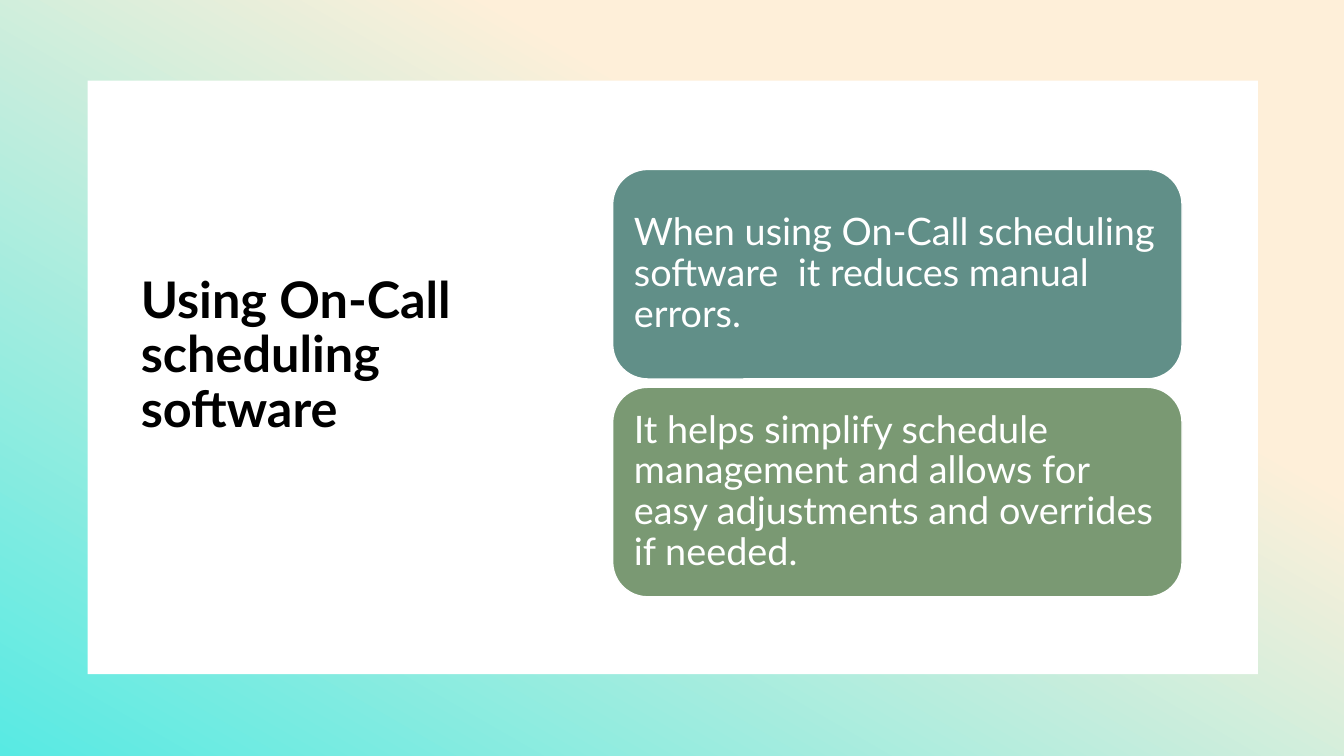
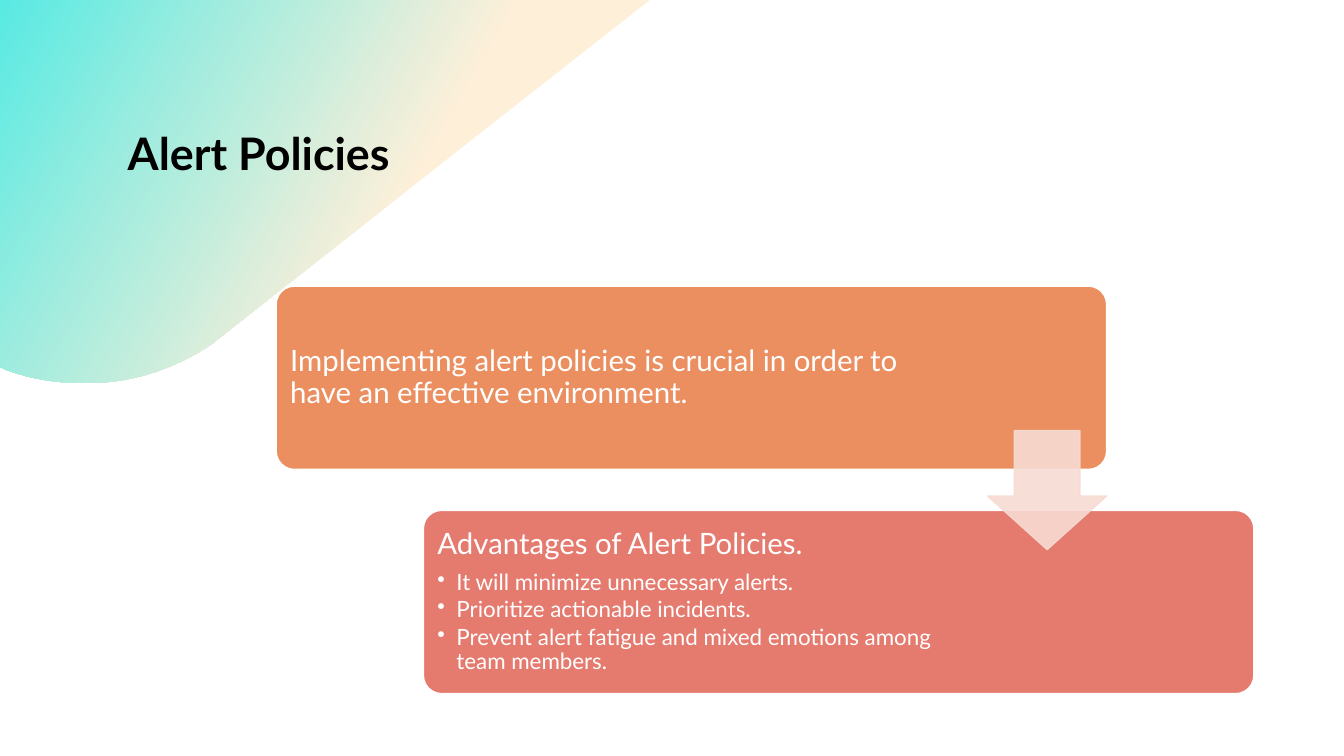
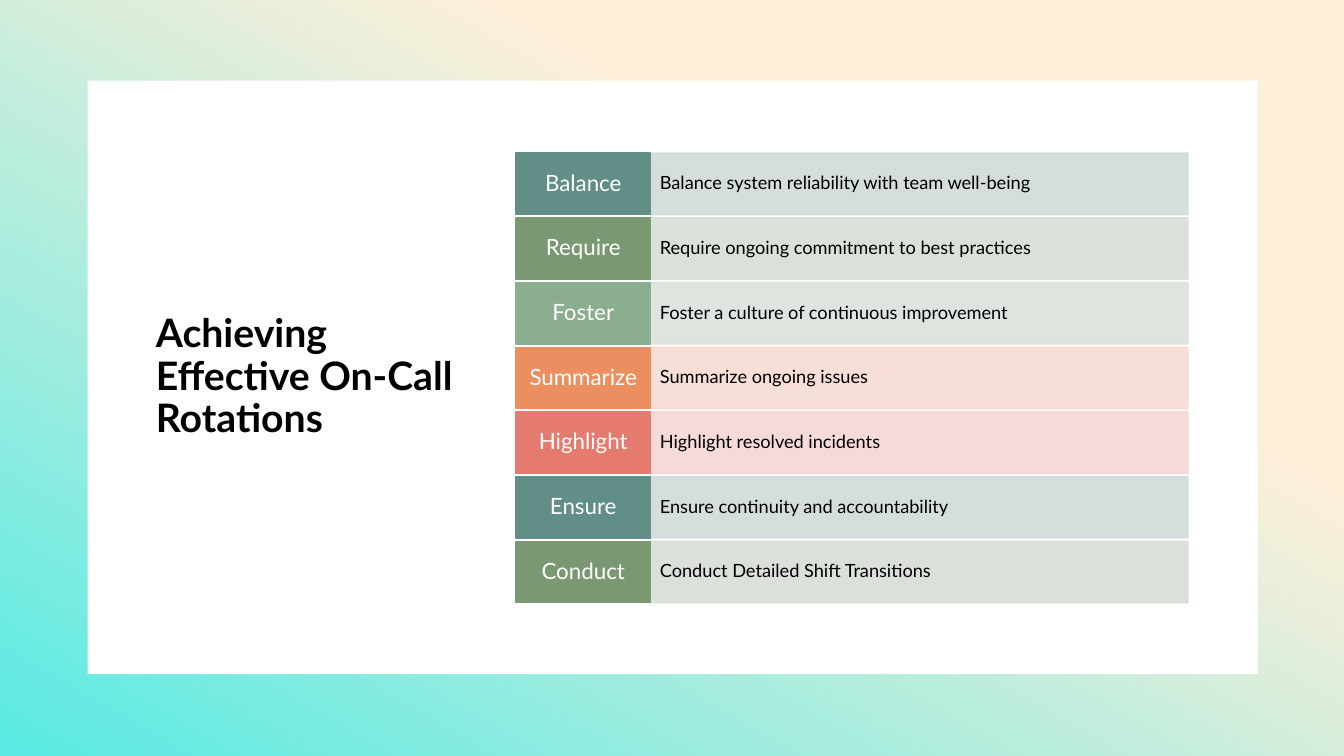
from lxml import etree
from pptx import Presentation
from pptx.dml.color import RGBColor
from pptx.enum.shapes import MSO_SHAPE
from pptx.enum.text import MSO_ANCHOR, PP_ALIGN
from pptx.oxml.ns import qn
from pptx.util import Cm, Pt

RECTANGLE = MSO_SHAPE.RECTANGLE
ROUNDED = MSO_SHAPE.ROUNDED_RECTANGLE
DOWN_ARROW = MSO_SHAPE.DOWN_ARROW
TOP, MIDDLE, BOTTOM = MSO_ANCHOR.TOP, MSO_ANCHOR.MIDDLE, MSO_ANCHOR.BOTTOM
LEFT, CENTER = PP_ALIGN.LEFT, PP_ALIGN.CENTER

FONT = "Lato"
WHITE = RGBColor(0xFF, 0xFF, 0xFF)
BLACK = RGBColor(0x00, 0x00, 0x00)
CREAM = RGBColor(0xFE, 0xEF, 0xD9)
AQUA = RGBColor(0x58, 0xEA, 0xE3)
TEAL = RGBColor(0x61, 0x8F, 0x88)
OLIVE = RGBColor(0x7A, 0x99, 0x73)
SAGE = RGBColor(0x8A, 0xAE, 0x8E)
ORANGE = RGBColor(0xEB, 0x8F, 0x60)
CORAL = RGBColor(0xE5, 0x7A, 0x6F)
TINTS = {
    TEAL: RGBColor(0xD2, 0xDB, 0xDA),
    OLIVE: RGBColor(0xD7, 0xDE, 0xD5),
    SAGE: RGBColor(0xDA, 0xE3, 0xDB),
    ORANGE: RGBColor(0xF7, 0xDB, 0xD2),
    CORAL: RGBColor(0xF5, 0xD7, 0xD5),
}

SLIDE_WIDTH, SLIDE_HEIGHT = 33.87, 19.05


def add_slide(presentation):
    return presentation.slides.add_slide(presentation.slide_layouts[6])


def add_box(slide, kind, box, fill, line=None, opacity=100):
    shape = slide.shapes.add_shape(kind, *map(Cm, box))
    shape.shadow.inherit = False
    shape.fill.solid()
    shape.fill.fore_color.rgb = fill
    shape.line.color.rgb = line or fill
    shape.line.width = Pt(1)
    if opacity < 100:
        for color in shape._element.spPr.iter(qn("a:srgbClr")):
            etree.SubElement(color, qn("a:alpha"), val=str(opacity * 1000))
    return shape


def set_gradient(shape, start, angle):
    shape.shadow.inherit = False
    shape.line.fill.background()
    shape.fill.gradient()
    shape.fill.gradient_angle = angle
    stops = zip(shape.fill.gradient_stops, (start, 1), (CREAM, AQUA))
    for stop, position, color in stops:
        stop.position = position
        stop.color.rgb = color


def format_paragraph(paragraph, size, color, bold=False, align=LEFT):
    paragraph.alignment = align
    paragraph.line_spacing = 0.9
    for run in paragraph.runs:
        run.font.name = FONT
        run.font.size = Pt(size)
        run.font.bold = bold
        run.font.color.rgb = color


def set_text(shape, text, size, color, insets, anchor=MIDDLE, bold=False, align=LEFT):
    frame = shape.text_frame
    frame.word_wrap = True
    frame.vertical_anchor = anchor
    frame.margin_left, frame.margin_top, frame.margin_right, frame.margin_bottom = map(Cm, insets)
    frame.text = text
    format_paragraph(frame.paragraphs[0], size, color, bold, align)


def add_bullets(shape, items, size, color):
    frame = shape.text_frame
    frame.paragraphs[0].space_after = Pt(7)
    for item in items:
        paragraph = frame.add_paragraph()
        paragraph.text = item
        format_paragraph(paragraph, size, color)
        paragraph.space_after = Pt(2.4)
        properties = paragraph._p.get_or_add_pPr()
        properties.set("marL", str(Cm(0.48)))
        properties.set("indent", str(-Cm(0.48)))
        etree.SubElement(properties, qn("a:buChar"), char="•")


def add_title(slide, text, box, size, anchor):
    title = slide.shapes.add_textbox(*map(Cm, box))
    set_text(title, text, size, BLACK, (0.25, 0.13, 0.25, 0.13), anchor, bold=True)


def add_framed_panel(slide):
    backdrop = slide.shapes.add_shape(RECTANGLE, 0, 0, Cm(SLIDE_WIDTH), Cm(SLIDE_HEIGHT))
    set_gradient(backdrop, 0.32, 240)
    panel = add_box(slide, RECTANGLE, (2.21, 2.03, 29.49, 14.96), WHITE)
    panel.line.fill.background()


def curve(start, control_1, control_2, end, steps=24):
    points = []
    for step in range(steps + 1):
        t = step / steps
        weights = ((1 - t) ** 3, 3 * t * (1 - t) ** 2, 3 * t * t * (1 - t), t ** 3)
        corners = (start, control_1, control_2, end)
        points.append(tuple(sum(w * c[axis] for w, c in zip(weights, corners)) for axis in (0, 1)))
    return points


def add_corner_wave(slide):
    outline = [(0, 9.25), (0, 0), (16.38, 0), (5.51, 8.53)]
    outline += curve((5.38, 8.64), (4.47, 9.27), (3.4, 9.63), (2.34, 9.65))
    outline += curve((2.01, 9.65), (1.42, 9.65), (0.81, 9.55), (0.23, 9.35))
    points = [(Cm(x), Cm(y)) for x, y in outline]
    builder = slide.shapes.build_freeform(*points[0])
    builder.add_line_segments(points[1:], close=True)
    set_gradient(builder.convert_to_shape(), 0.4, 150)


def build_software_slide(presentation):
    slide = add_slide(presentation)
    add_framed_panel(slide)
    add_title(slide, "Using On-Call scheduling software", (3.3, 3.73, 11.18, 7.44), 36, BOTTOM)
    cards = (
        (TEAL, "When using On-Call scheduling software  it reduces manual errors."),
        (OLIVE, "It helps simplify schedule management and allows for easy adjustments "
                "and overrides if needed."),
    )
    for index, (color, text) in enumerate(cards):
        card = add_box(slide, ROUNDED, (15.44, 4.27 + 5.49 * index, 14.35, 5.28), color, WHITE)
        set_text(card, text, 27, WHITE, (0.28,) * 4)


def build_policies_slide(presentation):
    slide = add_slide(presentation)
    add_corner_wave(slide)
    add_title(slide, "Alert Policies", (2.97, 3.18, 13.97, 2.95), 32, TOP)
    steps = (
        (ORANGE, "Implementing alert policies is crucial in order to have an effective environment.",
         4.72, ()),
        (CORAL, "Advantages of Alert Policies.", 6.93,
         ("It will minimize unnecessary alerts.",
          "Prioritize actionable incidents.",
          "Prevent alert fatigue and mixed emotions among team members.")),
    )
    for index, (color, text, right_inset, bullets) in enumerate(steps):
        box = (6.96 + 3.71 * index, 7.21 + 5.65 * index, 20.93, 4.62)
        card = add_box(slide, ROUNDED, box, color, WHITE)
        card.adjustments[0] = 0.1
        set_text(card, text, 21, WHITE, (0.22, 0.22, right_inset, 0.22))
        if bullets:
            add_bullets(card, bullets, 16, WHITE)
    arrow = add_box(slide, DOWN_ARROW, (24.89, 10.85, 3, 3), TINTS[ORANGE], opacity=90)
    arrow.adjustments[0] = 0.55
    arrow.adjustments[1] = 0.45


def build_rotations_slide(presentation):
    slide = add_slide(presentation)
    add_framed_panel(slide)
    add_title(slide, "Achieving Effective On-Call Rotations", (3.68, 5.72, 8.38, 7.59), 28, MIDDLE)
    rows = (
        (TEAL, "Balance", "Balance system reliability with team well-being"),
        (OLIVE, "Require", "Require ongoing commitment to best practices"),
        (SAGE, "Foster", "Foster a culture of continuous improvement"),
        (ORANGE, "Summarize", "Summarize ongoing issues"),
        (CORAL, "Highlight", "Highlight resolved incidents"),
        (TEAL, "Ensure", "Ensure continuity and accountability"),
        (OLIVE, "Conduct", "Conduct Detailed Shift Transitions"),
    )
    for index, (color, verb, sentence) in enumerate(rows):
        top = 3.86 + 1.63 * index
        detail = add_box(slide, RECTANGLE, (16.38, top, 13.56, 1.55), TINTS[color], opacity=90)
        set_text(detail, sentence, 13, BLACK, (0.25, 0.38, 0.25, 0.38))
        label = add_box(slide, RECTANGLE, (13, top, 3.4, 1.55), color)
        set_text(label, verb, 16, WHITE, (0.18, 0.15, 0.18, 0.15), align=CENTER)


def main():
    presentation = Presentation()
    presentation.slide_width = Cm(SLIDE_WIDTH)
    presentation.slide_height = Cm(SLIDE_HEIGHT)
    build_software_slide(presentation)
    build_policies_slide(presentation)
    build_rotations_slide(presentation)
    presentation.save("out.pptx")


if __name__ == "__main__":
    main()
